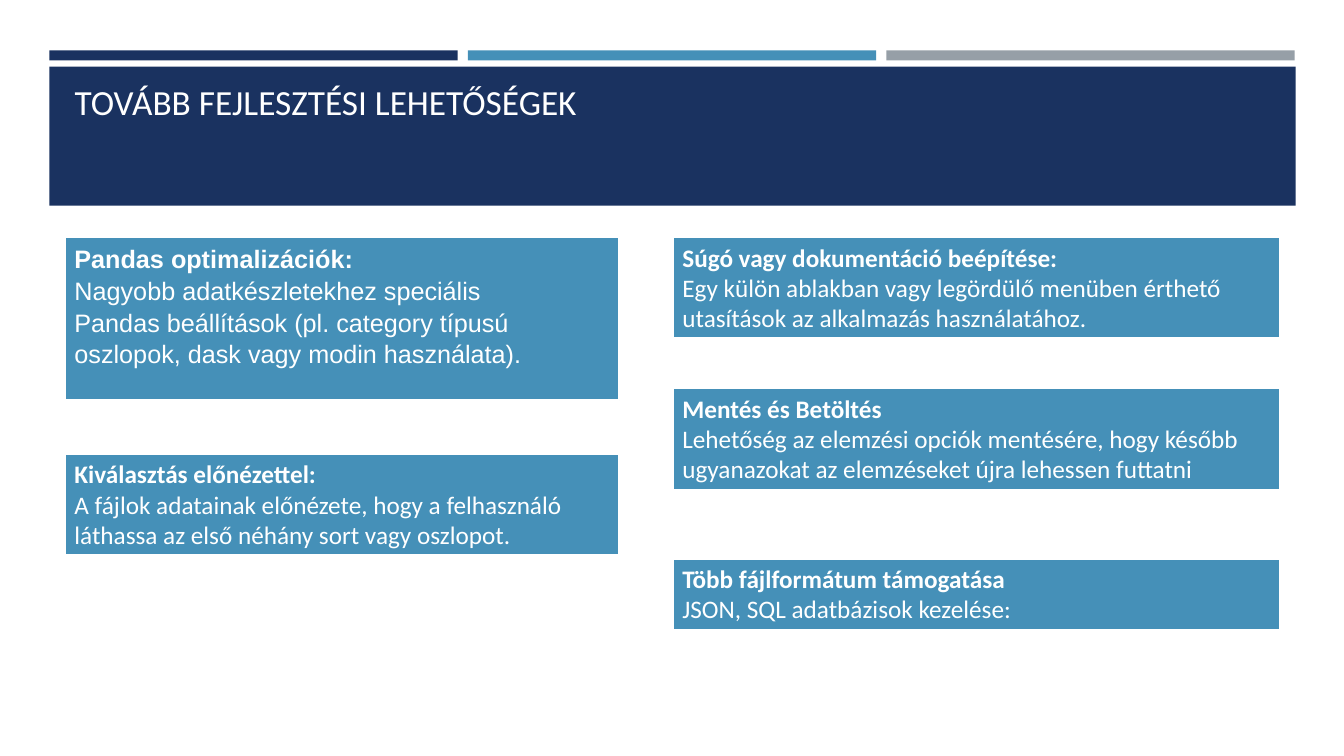
import pptx
import pptx.dml.color
import pptx.enum.shapes
import pptx.enum.text
import pptx.util

PX = 9144
COLORS = {"navy": "1A3260", "blue": "4590B8", "gray": "969FA7", "white": "FFFFFF"}

LEFT_CARDS = [
    (235, 162, "Arial", 1.05, "Pandas optimalizációk:",
     ["Nagyobb adatkészletekhez speciális",
      "Pandas beállítások (pl. category típusú oszlopok, dask vagy modin használata)."]),
    (450, 101, "Calibri", 1.0, "Kiválasztás előnézettel:",
     ["A fájlok adatainak előnézete, hogy a felhasználó láthassa az első néhány sort vagy oszlopot."]),
]
RIGHT_CARDS = [
    (235, 101, "Calibri", 1.0, "Súgó vagy dokumentáció beépítése:",
     ["Egy külön ablakban vagy legördülő menüben érthető utasítások az alkalmazás használatához."]),
    (385, 101, "Calibri", 1.0, "Mentés és Betöltés",
     ["Lehetőség az elemzési opciók mentésére, hogy később ugyanazokat az elemzéseket újra lehessen futtatni"]),
    (554, 71, "Calibri", 1.0, "Több fájlformátum támogatása",
     ["JSON, SQL adatbázisok kezelése:"]),
]


def color(name):
    """Return the named colour as an RGB value."""
    return pptx.dml.color.RGBColor.from_string(COLORS[name])


def add_rectangle(slide, left, top, width, height, fill):
    """Add a flat filled rectangle without an outline."""
    shape = slide.shapes.add_shape(
        pptx.enum.shapes.MSO_SHAPE.RECTANGLE,
        left * PX, top * PX, width * PX, height * PX)
    shape.shadow.inherit = False
    shape.fill.solid()
    shape.fill.fore_color.rgb = color(fill)
    shape.line.fill.background()
    return shape


def add_text(paragraph, text, font_name, size, bold=False):
    """Add one white left-aligned run to the paragraph."""
    paragraph.alignment = pptx.enum.text.PP_ALIGN.LEFT
    run = paragraph.add_run()
    run.text = text
    run.font.name = font_name
    run.font.size = pptx.util.Pt(size)
    run.font.bold = bold
    run.font.color.rgb = color("white")


def build_header(slide, left, top, width):
    """Build the three accent bars, the title band and the title."""
    gap = 10
    bar_width = (width - 2 * gap) // 3
    for index, fill in enumerate(["navy", "blue", "gray"]):
        add_rectangle(slide, left + index * (bar_width + gap), top, bar_width, 10, fill)
    add_rectangle(slide, left, top + 16, width, 138, "navy")

    title = slide.shapes.title
    title.element.getparent().append(title.element)
    title.left, title.top = (left + 15) * PX, (top + 30) * PX
    title.width, title.height = (width - 30) * PX, 47 * PX
    frame = title.text_frame
    frame.word_wrap = True
    frame.auto_size = pptx.enum.text.MSO_AUTO_SIZE.NONE
    frame.vertical_anchor = pptx.enum.text.MSO_ANCHOR.BOTTOM
    add_text(frame.paragraphs[0], "TOVÁBB FEJLESZTÉSI LEHETŐSÉGEK", "Calibri", 25.2)


def build_cards(slide, left, width, cards):
    """Build one column of cards, each with a bold heading and body text."""
    for top, height, font_name, spacing, heading, body in cards:
        card = add_rectangle(slide, left, top, width, height, "blue")
        card.line.color.rgb = color("white")
        card.line.width = pptx.util.Pt(1.75)
        frame = card.text_frame
        frame.word_wrap = True
        frame.vertical_anchor = pptx.enum.text.MSO_ANCHOR.TOP
        for index, text in enumerate([heading] + body):
            paragraph = frame.add_paragraph() if index else frame.paragraphs[0]
            paragraph.line_spacing = spacing
            add_text(paragraph, text, font_name, 18, bold=index == 0)


def main():
    """Build the slide and save the presentation."""
    presentation = pptx.Presentation()
    presentation.slide_width, presentation.slide_height = 1333 * PX, 750 * PX
    slide = presentation.slides.add_slide(presentation.slide_layouts[5])
    build_header(slide, 49, 50, 1236)
    build_cards(slide, 64, 550, LEFT_CARDS)
    build_cards(slide, 667, 603, RIGHT_CARDS)
    presentation.save("out.pptx")


if __name__ == "__main__":
    main()
